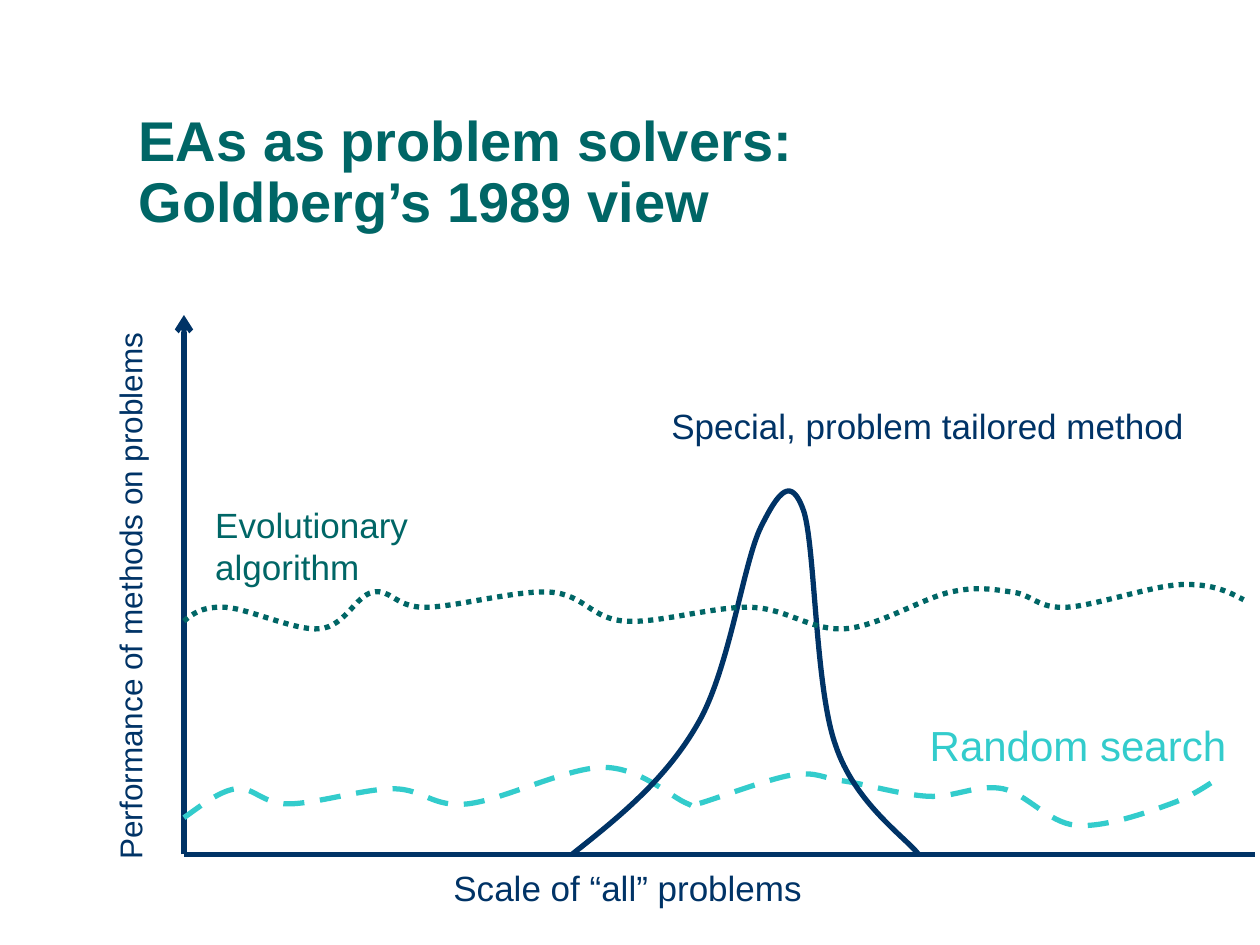
import pptx
import pptx.dml.color
import pptx.enum.dml
import pptx.enum.shapes
import pptx.enum.text
import pptx.oxml
import pptx.oxml.ns
import pptx.util

Inches = pptx.util.Inches
Pt = pptx.util.Pt
DASH = pptx.enum.dml.MSO_LINE

COLORS = {"navy": "003366", "teal": "006666", "aqua": "33CCCC"}
FONT = "Arial"

TITLE = "EAs as problem solvers: \vGoldberg’s 1989 view"

# text, left, top, width, height, size, color, rotation
LABELS = [
    ("Scale of “all” problems", 3.5, 6.83, 2.97, 0.44, 20, "navy", 0),
    ("Performance of methods on problems", -1.16, 4.53, 4.38, 0.4, 18, "navy", 270),
    ("Random search", 7.28, 5.66, 2.55, 0.5, 24, "aqua", 0),
    ("Special, problem tailored method", 5.23, 3.16, 4.27, 0.44, 20, "navy", 0),
    ("Evolutionary algorithm", 1.61, 3.95, 2.95, 0.44, 20, "teal", 0),
]

ORIGIN = (1.46, 6.78)
# end point, has arrowhead
AXES = [((9.96, 6.78), False), ((1.46, 2.5), True)]

# Start point, then two control points and an end point per Bézier segment
RANDOM_SEARCH = [
    (1.46, 6.49),
    (1.6, 6.39), (1.74, 6.28), (1.87, 6.26),
    (2.01, 6.24), (2.08, 6.38), (2.29, 6.38),
    (2.5, 6.38), (2.89, 6.26), (3.12, 6.26),
    (3.36, 6.26), (3.43, 6.41), (3.71, 6.38),
    (3.99, 6.35), (4.5, 6.09), (4.79, 6.09),
    (5.08, 6.09), (5.33, 6.33), (5.46, 6.38),
    (5.58, 6.43), (5.4, 6.42), (5.54, 6.38),
    (5.68, 6.34), (6.1, 6.18), (6.29, 6.15),
    (6.49, 6.12), (6.53, 6.18), (6.71, 6.2),
    (6.89, 6.23), (7.17, 6.31), (7.37, 6.32),
    (7.58, 6.33), (7.76, 6.22), (7.96, 6.26),
    (8.15, 6.3), (8.32, 6.53), (8.54, 6.55),
    (8.76, 6.57), (9.1, 6.45), (9.29, 6.38),
    (9.49, 6.31), (9.64, 6.19), (9.71, 6.15),
]
TAILORED_METHOD = [
    (4.54, 6.78),
    (4.92, 6.48), (5.29, 6.18), (5.54, 5.74),
    (5.79, 5.31), (5.9, 4.46), (6.04, 4.18),
    (6.18, 3.9), (6.28, 3.77), (6.38, 4.06),
    (6.47, 4.35), (6.47, 5.46), (6.63, 5.91),
    (6.78, 6.37), (7.18, 6.64), (7.29, 6.78),
]
EVOLUTIONARY = [
    (1.46, 4.93),
    (1.53, 4.87), (1.61, 4.81), (1.79, 4.82),
    (1.97, 4.83), (2.35, 5.01), (2.54, 4.99),
    (2.74, 4.97), (2.82, 4.73), (2.96, 4.7),
    (3.1, 4.67), (3.14, 4.82), (3.37, 4.82),
    (3.61, 4.82), (4.11, 4.68), (4.37, 4.7),
    (4.64, 4.72), (4.69, 4.91), (4.96, 4.93),
    (5.22, 4.95), (5.67, 4.81), (5.96, 4.82),
    (6.25, 4.83), (6.44, 5.01), (6.71, 4.99),
    (6.97, 4.97), (7.32, 4.75), (7.54, 4.7),
    (7.76, 4.65), (7.89, 4.68), (8.04, 4.7),
    (8.19, 4.72), (8.24, 4.83), (8.46, 4.82),
    (8.68, 4.81), (9.14, 4.65), (9.37, 4.64),
    (9.61, 4.63), (9.74, 4.69), (9.87, 4.76),
]
CURVES = [
    (RANDOM_SEARCH, "aqua", DASH.DASH),
    (TAILORED_METHOD, "navy", None),
    (EVOLUTIONARY, "teal", DASH.ROUND_DOT),
]


def rgb(name):
    return pptx.dml.color.RGBColor.from_string(COLORS[name])


def style_line(line, color, dash=None):
    line.color.rgb = rgb(color)
    line.width = Pt(3)
    if dash is not None:
        line.dash_style = dash


def style_font(font, size, color, bold=False):
    font.name = FONT
    font.size = Pt(size)
    font.bold = bold
    font.color.rgb = rgb(color)


def add_axis(slide, end, arrow):
    axis = slide.shapes.add_connector(
        pptx.enum.shapes.MSO_CONNECTOR.STRAIGHT, *map(Inches, ORIGIN + end))
    style_line(axis.line, "navy")
    if arrow:
        pptx.oxml.ns.qn("a:tailEnd")
        tail = axis.line._get_or_add_ln().makeelement(
            pptx.oxml.ns.qn("a:tailEnd"), {"type": "arrow"})
        axis.line._get_or_add_ln().append(tail)
    spPr = axis._element.spPr
    spPr.append(spPr.makeelement(pptx.oxml.ns.qn("a:effectLst"), {}))


def add_curve(slide, points, color, dash):
    """Draw a freeform, then merge each three line segments into a cubic one."""
    start, *rest = [(Inches(x), Inches(y)) for x, y in points]
    builder = slide.shapes.build_freeform(*start)
    builder.add_line_segments(rest, close=False)
    sp = builder.convert_to_shape()
    sp.shadow.inherit = False
    sp.fill.background()
    style_line(sp.line, color, dash)
    segments = list(sp._element.iter(pptx.oxml.ns.qn("a:lnTo")))
    for first, second, third in zip(*[iter(segments)] * 3):
        cubic = first.makeelement(pptx.oxml.ns.qn("a:cubicBezTo"), {})
        first.addprevious(cubic)
        for segment in (first, second, third):
            cubic.append(segment[0])
            segment.getparent().remove(segment)


def add_label(slide, text, left, top, width, height, size, color, rotation):
    box = slide.shapes.add_textbox(*map(Inches, (left, top, width, height)))
    box.rotation = rotation
    tf = box.text_frame
    tf.word_wrap = False
    tf.auto_size = pptx.enum.text.MSO_AUTO_SIZE.SHAPE_TO_FIT_TEXT
    tf.text = text
    style_font(tf.paragraphs[0].runs[0].font, size, color)


def add_title(slide):
    title = slide.shapes.title
    title.left, title.top, title.width, title.height = map(
        Inches, (1, 0.92, 8.5, 0.92))
    tf = title.text_frame
    tf.text = TITLE
    tf.auto_size = pptx.enum.text.MSO_AUTO_SIZE.NONE
    tf.vertical_anchor = pptx.enum.text.MSO_ANCHOR.MIDDLE
    p = tf.paragraphs[0]
    p.alignment = pptx.enum.text.PP_ALIGN.LEFT
    p.line_spacing = 0.9
    for r in p.runs:
        style_font(r.font, 32, "teal", bold=True)


def main():
    prs = pptx.Presentation()
    prs.slide_width, prs.slide_height = Inches(10), Inches(7.5)
    slide = prs.slides.add_slide(prs.slide_layouts[5])
    add_title(slide)
    for axis in AXES:
        add_axis(slide, *axis)
    for curve in CURVES:
        add_curve(slide, *curve)
    for label in LABELS:
        add_label(slide, *label)
    prs.save("out.pptx")


if __name__ == "__main__":
    main()
